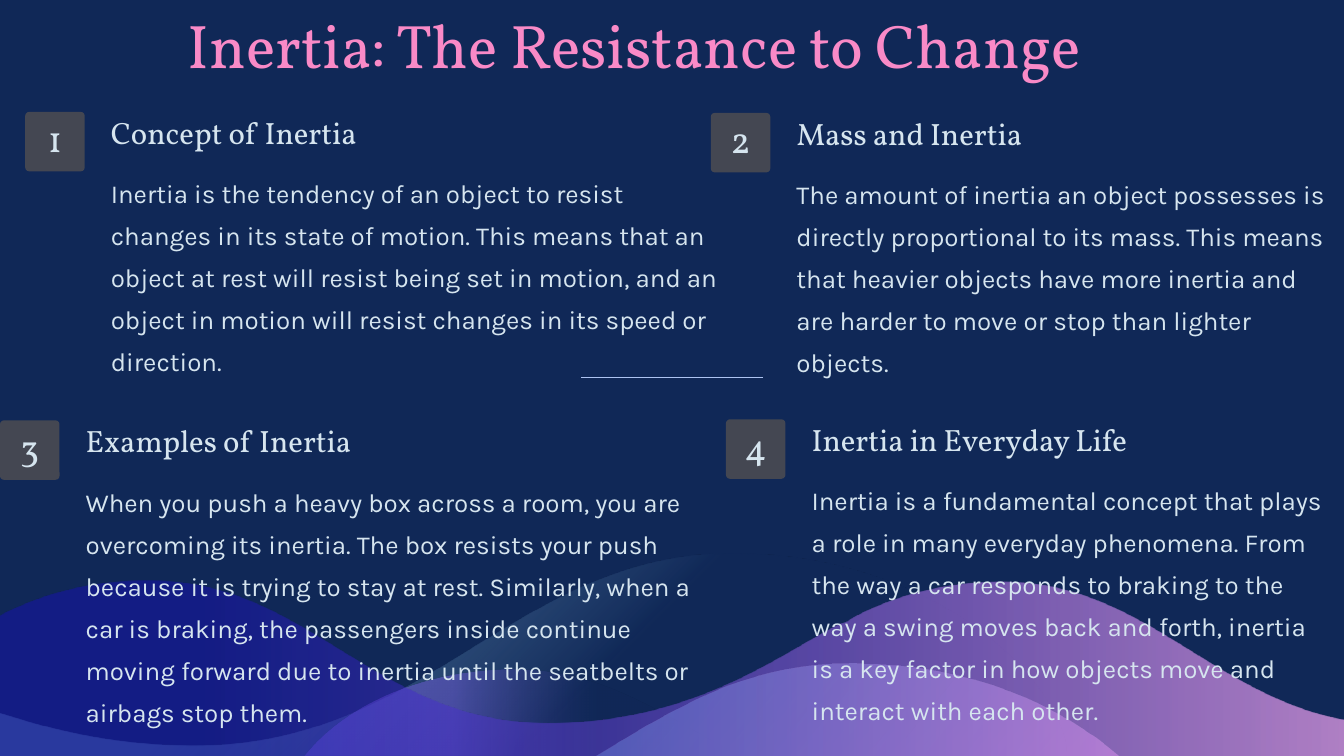
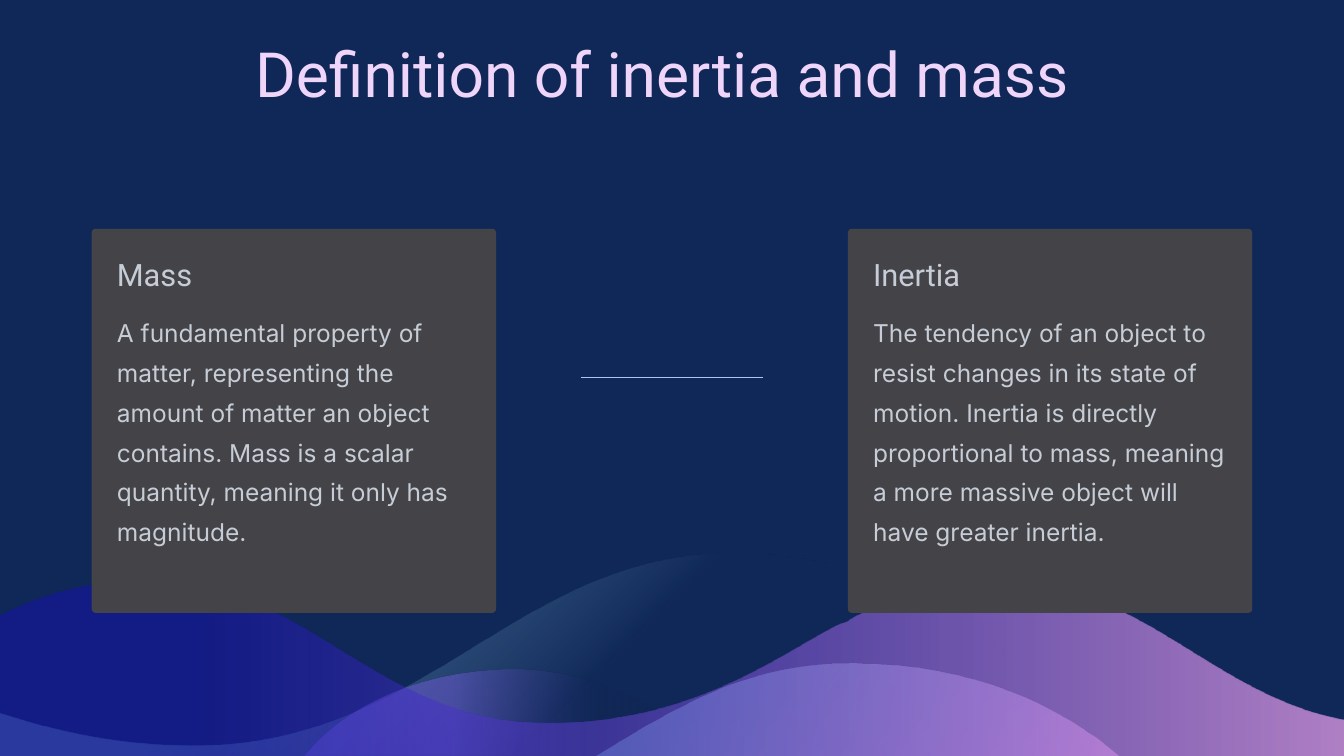
from pptx import Presentation
from pptx.dml.color import RGBColor
from pptx.enum.shapes import MSO_CONNECTOR, MSO_SHAPE
from pptx.enum.text import MSO_ANCHOR, MSO_AUTO_SIZE, PP_ALIGN
from pptx.oxml import parse_xml
from pptx.oxml.ns import nsdecls
from pptx.util import Inches, Pt
from lxml import etree

NAVY = RGBColor(0x10, 0x28, 0x57)
SKY = RGBColor(0x92, 0xCD, 0xF0)
VIOLET = RGBColor(0x76, 0x5F, 0xE1)
AQUA = RGBColor(0x64, 0xDF, 0xED)
PINK = RGBColor(0xF6, 0xA6, 0xF4)
BLUE = RGBColor(0x18, 0x0D, 0xC2)
MIST = RGBColor(0xAD, 0xC3, 0xF1)
ROSE = RGBColor(0xF9, 0x8A, 0xC7)
LILAC = RGBColor(0xEF, 0xD5, 0xFA)
SLATE = RGBColor(0x44, 0x47, 0x52)
GREY = RGBColor(0x43, 0x43, 0x48)
ICE = RGBColor(0xD6, 0xE5, 0xEF)
SILVER = RGBColor(0xC7, 0xCD, 0xD6)

# Text styles: font, size, line spacing, colour
ROSY = ("Vollkorn", 44, 55, ROSE)
PALE = ("Roboto", 44.5, 55.5, LILAC)
NUMBER = ("Vollkorn", 26.5, 26.5, ICE)
TOPIC = ("Vollkorn", 22, 27.5, ICE)
DETAIL = ("Karla", 18.5, 30, ICE)
TERM = ("Roboto", 22, 27.5, SILVER)
MEANING = ("Inter", 17.5, 28.5, SILVER)

# Left, top, body top, body width, body height, heading, body
POINTS = [
    (0.25, 1.11, 1.65, 6.1, 1.68, "Concept of Inertia",
     "Inertia is the tendency of an object to resist changes in its state of "
     "motion. This means that an object at rest will resist being set in motion, "
     "and an object in motion will resist changes in its speed or direction."),
    (7.05, 1.12, 1.66, 5.27, 1.68, "Mass and Inertia",
     "The amount of inertia an object possesses is directly proportional to its "
     "mass. This means that heavier objects have more inertia and are harder to "
     "move or stop than lighter objects."),
    (0, 4.17, 4.72, 6.1, 2.51, "Examples of Inertia",
     "When you push a heavy box across a room, you are overcoming its inertia. "
     "The box resists your push because it is trying to stay at rest. Similarly, "
     "when a car is braking, the passengers inside continue moving forward due to "
     "inertia until the seatbelts or airbags stop them."),
    (7.2, 4.16, 4.7, 5.09, 2.09, "Inertia in Everyday Life",
     "Inertia is a fundamental concept that plays a role in many everyday "
     "phenomena. From the way a car responds to braking to the way a swing moves "
     "back and forth, inertia is a key factor in how objects move and interact "
     "with each other."),
]

TERMS = [
    ("Mass", 2.38,
     "A fundamental property of matter, representing the amount of matter an "
     "object contains. Mass is a scalar quantity, meaning it only has magnitude."),
    ("Inertia", 2.78,
     "The tendency of an object to resist changes in its state of motion. Inertia "
     "is directly proportional to mass, meaning a more massive object will have "
     "greater inertia."),
]

# Waves: outline (2 numbers draw a line, 6 a curve), stops, angle or None for radial
WAVES = [
    ([(7.23, 5.49), (9.19, 5.48, 10.43, 6.65, 10.57, 7.39), (10.58, 7.5), (0, 7.5),
      (0, 7.07), (0.2, 7.13), (0.72, 7.29, 1.32, 7.4, 2.01, 7.39),
      (4.24, 7.35, 5.14, 5.5, 7.23, 5.49)],
     [(43, NAVY, 50), (73, SKY, 29)], None),
    ([(5.11, 6.64), (6, 6.65, 6.57, 7.1, 7.24, 7.45), (7.34, 7.5), (3.02, 7.5),
      (3.08, 7.43), (3.43, 7.03, 4.14, 6.64, 5.11, 6.64)],
     [(33, NAVY, 28), (66, VIOLET, 46)], 180),
    ([(8.42, 6.58), (9.6, 6.57, 10.51, 6.99, 11.09, 7.49), (11.1, 7.5), (5.9, 7.5),
      (6.15, 7.35), (6.82, 6.94, 7.51, 6.58, 8.42, 6.58)],
     [(0, AQUA, 43), (100, PINK, 53)], 40),
    ([(1.5, 5.76), (3.04, 5.76, 3.71, 7.13, 5.36, 7.16),
      (6.9, 7.19, 7.81, 6.42, 8.34, 6.18), (8.38, 6.17), (8.48, 6.11),
      (8.87, 5.91, 9.36, 5.77, 9.94, 5.77), (11.29, 5.78, 11.97, 6.83, 13.22, 7.11),
      (13.33, 7.13), (13.33, 7.51), (0, 7.51), (0, 6.11), (0.03, 6.09),
      (0.43, 5.89, 0.92, 5.75, 1.5, 5.76)],
     [(0, PINK, 69), (85, BLUE, 42)], 180),
]


def outline(slide, path):
    """Build a freeform through the knots, then bend its curved sides."""
    knots = [tuple(map(Inches, part[-2:])) for part in path]
    pen = slide.shapes.build_freeform(*knots[0], scale=1.0)
    pen.add_line_segments(knots[1:], close=True)
    shape = pen.convert_to_shape()
    sides = shape._element.spPr.findall(".//{*}lnTo")
    for side, part in zip(sides, path[1:]):
        if len(part) == 6:
            dots = "".join(
                f'<a:pt x="{Inches(x) - shape.left}" y="{Inches(y) - shape.top}"/>'
                for x, y in zip(part[::2], part[1::2]))
            side.getparent().replace(side, parse_xml(
                f'<a:cubicBezTo {nsdecls("a")}>{dots}</a:cubicBezTo>'))
    return shape


def blend(shape, stops, angle):
    """Give a shape a see-through gradient."""
    marks = "".join(
        f'<a:gs pos="{pos * 1000}"><a:srgbClr val="{tone}">'
        f'<a:alpha val="{alpha * 1000}"/></a:srgbClr></a:gs>'
        for pos, tone, alpha in stops)
    if angle is None:
        way = '<a:path path="circle"><a:fillToRect l="100000" t="100000"/></a:path>'
    else:
        way = f'<a:lin ang="{angle * 60000}" scaled="0"/>'
    shape.fill.background()
    props = shape._element.spPr
    props.replace(props.find("{*}noFill"), parse_xml(
        f'<a:gradFill {nsdecls("a")} rotWithShape="1">'
        f'<a:gsLst>{marks}</a:gsLst>{way}</a:gradFill>'))


def dress(master, slide):
    """Move background waves and centre line to the master."""
    master.background.fill.solid()
    master.background.fill.fore_color.rgb = NAVY
    parts = []
    for path, stops, angle in WAVES:
        wave = outline(slide, path)
        wave.shadow.inherit = False
        wave.line.fill.background()
        blend(wave, stops, angle)
        parts.append(wave)
    rule = slide.shapes.add_connector(MSO_CONNECTOR.STRAIGHT, Inches(7.57),
                                      Inches(3.74), Inches(5.76), Inches(3.74))
    rule.line.color.rgb = MIST
    rule.line.width = Pt(0.5)
    props = rule._element.spPr
    etree.SubElement(props, "{%s}effectLst" % props.nsmap["a"])
    parts.append(rule)
    for spot, part in enumerate(parts):
        master.shapes._spTree.insert(2 + spot, part._element)


def write(shape, text, style, wrap=True, align=PP_ALIGN.LEFT, anchor=MSO_ANCHOR.TOP):
    face, size, space, tone = style
    frame = shape.text_frame
    frame.text = text
    frame.auto_size = MSO_AUTO_SIZE.NONE
    frame.word_wrap = wrap
    frame.vertical_anchor = anchor
    frame.margin_left = frame.margin_right = 0
    frame.margin_top = frame.margin_bottom = 0
    para = frame.paragraphs[0]
    para.alignment = align
    para.line_spacing = Pt(space)
    font = para.runs[0].font
    font.name, font.size, font.color.rgb = face, Pt(size), tone


def label(slide, box, text, style, wrap=True):
    write(slide.shapes.add_textbox(*map(Inches, box)), text, style, wrap)


def panel(slide, box, tone, curve):
    shape = slide.shapes.add_shape(MSO_SHAPE.ROUNDED_RECTANGLE, *map(Inches, box))
    shape.adjustments[0] = curve
    shape.shadow.inherit = False
    shape.fill.solid()
    shape.fill.fore_color.rgb = tone
    shape.line.fill.background()
    return shape


def head(slide, box, text, style, wrap=True):
    title = slide.shapes.title
    title.left, title.top, title.width, title.height = map(Inches, box)
    write(title, text, style, wrap)


def main():
    deck = Presentation()
    deck.slide_width, deck.slide_height = Inches(13.33), Inches(7.5)
    first, second = [deck.slides.add_slide(deck.slide_layouts[5]) for _ in range(2)]
    dress(deck.slide_master, first)

    # Four numbered points
    head(first, (1.86, 0.04, 9.62, 0.77), "Inertia: The Resistance to Change",
         ROSY, wrap=False)
    for count, (x, y, low, width, height, topic, body) in enumerate(POINTS, 1):
        badge = panel(first, (x, y, 0.59, 0.59), SLATE, 0.067)
        write(badge, str(count), NUMBER, False, PP_ALIGN.CENTER, MSO_ANCHOR.MIDDLE)
        label(first, (x + 0.85, y, 3.08, 0.38), topic, TOPIC, wrap=False)
        label(first, (x + 0.85, low, width, height), body, DETAIL)

    # Two definition cards
    head(second, (2.53, 0.32, 8.26, 1.55), "Definition of inertia and mass", PALE)
    for spot, (term, height, body) in enumerate(TERMS):
        x = 0.91 + 7.5 * spot
        panel(second, (x, 2.27, 4.01, 3.81), GREY, 0.01)
        label(second, (x + 0.25, 2.52, 3.1, 0.39), term, TERM, wrap=False)
        label(second, (x + 0.25, 3.05, 3.51, height), body, MEANING)

    deck.save("out.pptx")


if __name__ == "__main__":
    main()
